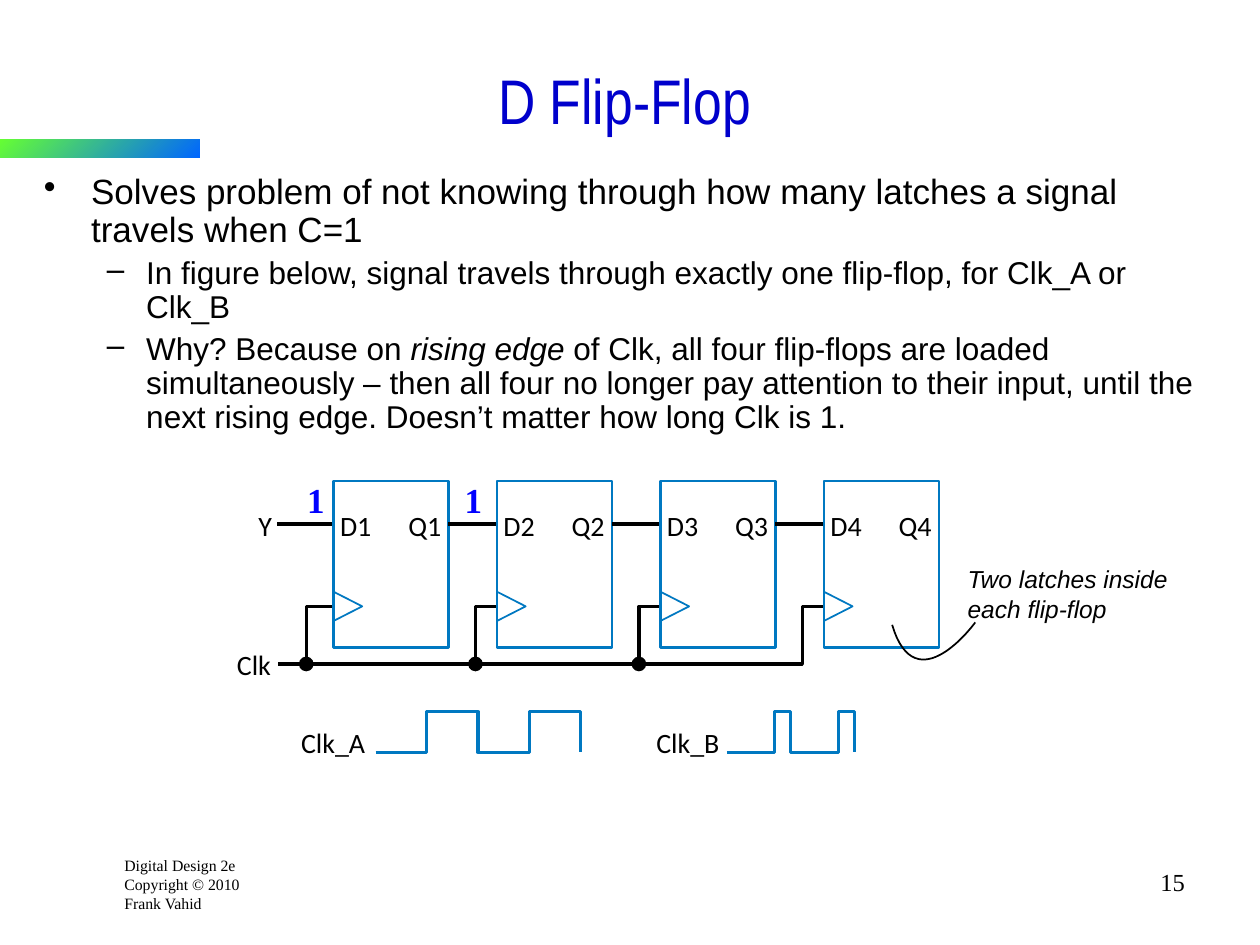
"""Build the D flip-flop slide with its four-stage circuit and clock waveforms."""
from lxml.etree import SubElement
from pptx import Presentation
from pptx.dml.color import RGBColor
from pptx.enum.shapes import MSO_CONNECTOR, MSO_SHAPE
from pptx.enum.text import MSO_ANCHOR, PP_ALIGN
from pptx.oxml.ns import qn
from pptx.util import Pt

BLACK = RGBColor(0x00, 0x00, 0x00)
TITLE_BLUE = RGBColor(0x00, 0x00, 0xCC)
SIGNAL_BLUE = RGBColor(0x00, 0x00, 0xFF)
CIRCUIT_BLUE = RGBColor(0x00, 0x78, 0xC1)
BAR_GREEN = RGBColor(0x66, 0xFF, 0x33)
BAR_BLUE = RGBColor(0x00, 0x66, 0xFF)

SMALL = {"name": "Times New Roman", "size": Pt(9)}
NUMBER = {"name": "Times New Roman", "size": Pt(14)}
TITLE = {"name": "Arial Narrow", "size": Pt(36)}
BODY = {"name": "Arial", "size": Pt(20)}
DETAIL = {"name": "Arial", "size": Pt(18)}
NOTE = {"name": "Arial", "size": Pt(14), "italic": True}
LABEL = {"name": "Calibri", "size": Pt(16)}
SIGNAL = {"name": "Times New Roman", "size": Pt(20), "bold": True}

deck = Presentation()
deck.slide_width, deck.slide_height = Pt(720), Pt(540)
page = deck.slides.add_slide(deck.slide_layouts[6])


def add_text(place, paragraphs, style, color=BLACK, wrap=True, inset=True):
    box = page.shapes.add_textbox(*[Pt(value) for value in place])
    frame = box.text_frame
    frame.word_wrap = wrap
    if not inset:
        for side in ("left", "top", "right", "bottom"):
            setattr(frame, f"margin_{side}", 0)
    for index, spans in enumerate(paragraphs):
        para = frame.paragraphs[0] if index == 0 else frame.add_paragraph()
        for text, extra in spans:
            span = para.add_run()
            span.text = text
            span.font.color.rgb = color
            for name, value in {**style, **extra}.items():
                setattr(span.font, name, value)
    return frame


def add_path(points, color, width):
    corners = [(Pt(x), Pt(y)) for x, y in points]
    builder = page.shapes.build_freeform(*corners[0])
    builder.add_line_segments(corners[1:], close=False)
    outline = builder.convert_to_shape()
    outline.shadow.inherit = False
    outline.fill.background()
    outline.line.color.rgb = color
    outline.line.width = Pt(width)


credit = ["Digital Design 2e", "Copyright © 2010", "Frank Vahid"]
add_text((64, 485.3, 81, 40), [[(line, {})] for line in credit], SMALL)

bar = page.shapes.add_shape(MSO_SHAPE.RECTANGLE, 0, Pt(79.7), Pt(114.3), Pt(10.4))
bar.shadow.inherit = False
bar.line.fill.background()
bar.fill.gradient()
bar.fill.gradient_angle = 315
for stop, color in zip(bar.fill.gradient_stops, (BAR_GREEN, BAR_BLUE)):
    stop.color.rgb = color

number = add_text((534.2, 491.8, 150, 36), [[("15", {})]], NUMBER)
number.paragraphs[0].alignment = PP_ALIGN.RIGHT

title = add_text((18, 24, 678, 66), [[("D Flip-Flop", {})]], TITLE, TITLE_BLUE)
title.vertical_anchor = MSO_ANCHOR.MIDDLE
title.paragraphs[0].alignment = PP_ALIGN.CENTER

body = add_text((18, 96, 678, 159), [
    [("Solves problem of not knowing through how many latches a signal travels when C=1", BODY)],
    [("In figure below, signal travels through exactly one flip-flop, for Clk_A or Clk_B", {})],
    [("Why? Because on ", {}),
     ("rising edge", {"italic": True}),
     (" of Clk, all four flip-flops are loaded simultaneously – then all four no longer pay "
      "attention to their input, until the next rising edge. Doesn’t matter how long Clk is 1.", {})],
], DETAIL)
top_level = (0, 27, -27, 5, "•")
sub_level = (1, 58.5, -22.5, 4.5, "–")
for para, (level, margin, indent, before, mark) in zip(
        body.paragraphs, (top_level, sub_level, sub_level)):
    for name, value in {"level": level, "line_spacing": 0.9, "space_before": Pt(before)}.items():
        setattr(para, name, value)
    properties = para._p.get_or_add_pPr()
    properties.set("marL", str(Pt(margin)))
    properties.set("indent", str(Pt(indent)))
    SubElement(properties, qn("a:buChar")).set("char", mark)

add_text((545.8, 319, 138, 41), [[("Two latches inside each flip-flop", {})]], NOTE)

PITCH, BLOCK_WIDTH, BLOCK_TOP, BLOCK_HEIGHT = 93.4, 65.6, 275, 95
DATA_Y, CLOCK_Y, TRUNK_Y, DOT = 299.5, 346.5, 379.4, 7.4
blocks = [190.7 + PITCH * stage for stage in range(4)]
taps = [175] + [left - 12.4 for left in blocks[1:]]
wire_starts = [158.4] + [left + BLOCK_WIDTH for left in blocks[:-1]]

for stage, (left, tap, wire_start) in enumerate(zip(blocks, taps, wire_starts), 1):
    wire = page.shapes.add_connector(
        MSO_CONNECTOR.STRAIGHT, Pt(wire_start), Pt(DATA_Y), Pt(left), Pt(DATA_Y))
    wire.line.color.rgb = BLACK
    wire.line.width = Pt(1.87)
    SubElement(wire._element.spPr, qn("a:effectLst"))

    branch = [(left, CLOCK_Y), (tap, CLOCK_Y), (tap, TRUNK_Y)]
    if stage == len(blocks):
        branch.append((159, TRUNK_Y))
    else:
        dot = page.shapes.add_shape(
            MSO_SHAPE.OVAL, Pt(tap - DOT / 2), Pt(TRUNK_Y - DOT / 2), Pt(DOT), Pt(DOT))
        dot.shadow.inherit = False
        dot.fill.solid()
        dot.fill.fore_color.rgb = BLACK
        dot.line.color.rgb = BLACK
        dot.line.width = Pt(1)
    add_path(branch, BLACK, 1.87)

    add_path([(left, CLOCK_Y + 8.3), (left + 16.3, CLOCK_Y), (left, CLOCK_Y - 8.3)],
             CIRCUIT_BLUE, 1)
    block = page.shapes.add_shape(
        MSO_SHAPE.RECTANGLE, Pt(left), Pt(BLOCK_TOP), Pt(BLOCK_WIDTH), Pt(BLOCK_HEIGHT))
    block.shadow.inherit = False
    block.fill.background()
    block.line.color.rgb = CIRCUIT_BLUE
    block.line.width = Pt(1.39)
    for letter, offset in (("D", 3.6), ("Q", 42.6)):
        add_text((left + offset, 290.9, 21, 19.4), [[(f"{letter}{stage}", {})]],
                 LABEL, wrap=False, inset=False)

for text, left, top, width in (("Y", 147.6, 290.9, 9.4), ("Clk", 135.4, 370.1, 23),
                               ("Clk_A", 172.1, 414.7, 40.3), ("Clk_B", 375.1, 414.7, 40.3)):
    add_text((left, top, width, 19.4), [[(text, {})]], LABEL, wrap=False, inset=False)

LOW, HIGH = 430, 406.8
for start, low_time, high_time in ((214.6, 29.3, 29.3), (415.4, 27.4, 9.1)):
    x, wave = start, [(start, LOW)]
    for _ in range(2):
        rise = x + low_time
        x = rise + high_time
        wave += [(rise, LOW), (rise, HIGH), (x, HIGH), (x, LOW)]
    add_path(wave, CIRCUIT_BLUE, 1.87)

anchors = [(557.3, 355.7), (557.3, 355.7), (523.4, 402.5), (509.8, 357.1)]
STEPS = 32
pointer = []
for step in range(STEPS + 1):
    t = step / STEPS
    weights = ((1 - t) ** 3, 3 * t * (1 - t) ** 2, 3 * t ** 2 * (1 - t), t ** 3)
    pointer.append([sum(weight * anchor[axis] for weight, anchor in zip(weights, anchors))
                    for axis in range(2)])
add_path(pointer, BLACK, 1)

for left in (168.5, 258.5):
    add_text((left, 270, 24.5, 31.7), [[("1", {})]], SIGNAL, SIGNAL_BLUE, wrap=False)

deck.save("out.pptx")
